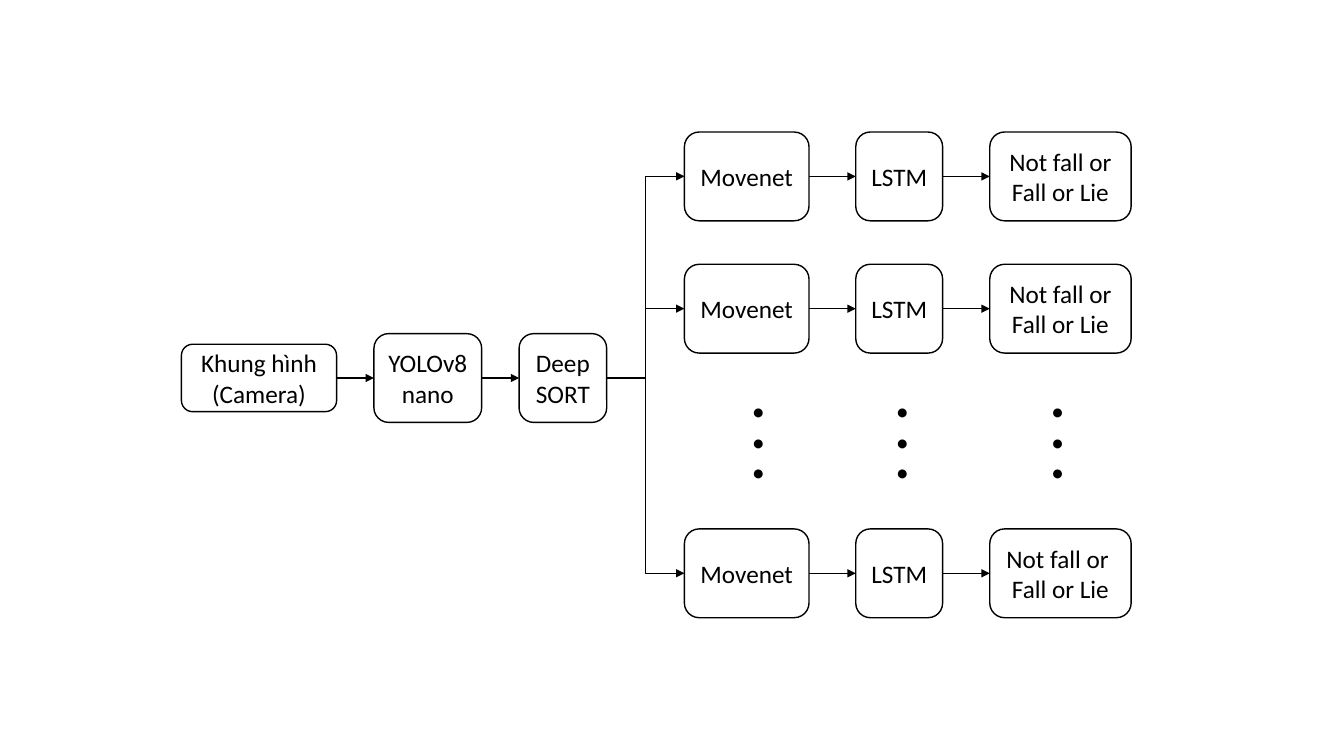
from lxml.etree import SubElement
from pptx import Presentation
from pptx.dml.color import RGBColor
from pptx.enum.shapes import MSO_CONNECTOR as CONN, MSO_SHAPE as SHAPE
from pptx.enum.text import MSO_ANCHOR as ANCHOR, PP_ALIGN as ALIGN
from pptx.oxml.ns import qn
from pptx.util import Pt

prs = Presentation()
prs.slide_width, prs.slide_height = Pt(960), Pt(540)
s = prs.slides.add_slide(prs.slide_layouts[6])


def add_box(text, x, y, w, h, line="000000", align=ALIGN.CENTER, inset=3.6):
    sp = s.shapes.add_shape(SHAPE.ROUNDED_RECTANGLE, Pt(x), Pt(y), Pt(w), Pt(h))
    sp.shadow.inherit = False
    sp.fill.solid()
    sp.fill.fore_color.rgb = RGBColor.from_string("FFFFFF")
    if line:
        sp.line.color.rgb = RGBColor.from_string(line)
        sp.line.width = Pt(1)
    else:
        sp.line.fill.background()
    tf = sp.text_frame
    tf.word_wrap = True
    tf.vertical_anchor = ANCHOR.MIDDLE
    tf.margin_left = tf.margin_right = Pt(inset)
    tf.text = text
    for p in tf.paragraphs:
        p.alignment = align
        for r in p.runs:
            r.font.name, r.font.size = "Calibri", Pt(18)
            r.font.color.rgb = RGBColor.from_string("000000")
    return sp


def join(a, b, kind=CONN.STRAIGHT):
    c = s.shapes.add_connector(kind, 0, 0, 0, 0)
    c.begin_connect(a, 3)
    c.end_connect(b, 1)
    c.line.color.rgb = RGBColor.from_string("000000")
    c.line.width = Pt(1)
    SubElement(c.line._get_or_add_ln(), qn("a:tailEnd"), type="triangle")
    SubElement(c._element.spPr, qn("a:effectLst"))


axis, box_h = 270, 63.4
camera = add_box("Khung hình\n(Camera)", 129.6, axis - 24.1, 110.9, 48.2)
yolo = add_box("YOLOv8 nano", 267.1, axis - box_h / 2, 77, box_h)
sort = add_box("Deep SORT", 370.8, axis - box_h / 2, 62.6, box_h)
join(camera, yolo)
join(yolo, sort)

first_top, pitch = 94.3, 94.5
labels = ["Not fall or\vFall or Lie", "Not fall or\vFall or Lie", None, "Not fall or \vFall or Lie"]
for i, label in enumerate(labels):
    y = first_top + i * pitch
    if label is None:
        for x in (529.2, 632.2, 743):
            add_box("•\n•\n•", x, y, 41, box_h, line=None, align=ALIGN.LEFT, inset=6)
        continue
    movenet = add_box("Movenet", 488.9, y, 89, box_h)
    lstm = add_box("LSTM", 611.3, y, 62, box_h)
    result = add_box(label, 707, y, 101, box_h)
    join(sort, movenet, CONN.ELBOW)
    join(movenet, lstm)
    join(lstm, result)

prs.save("out.pptx")
